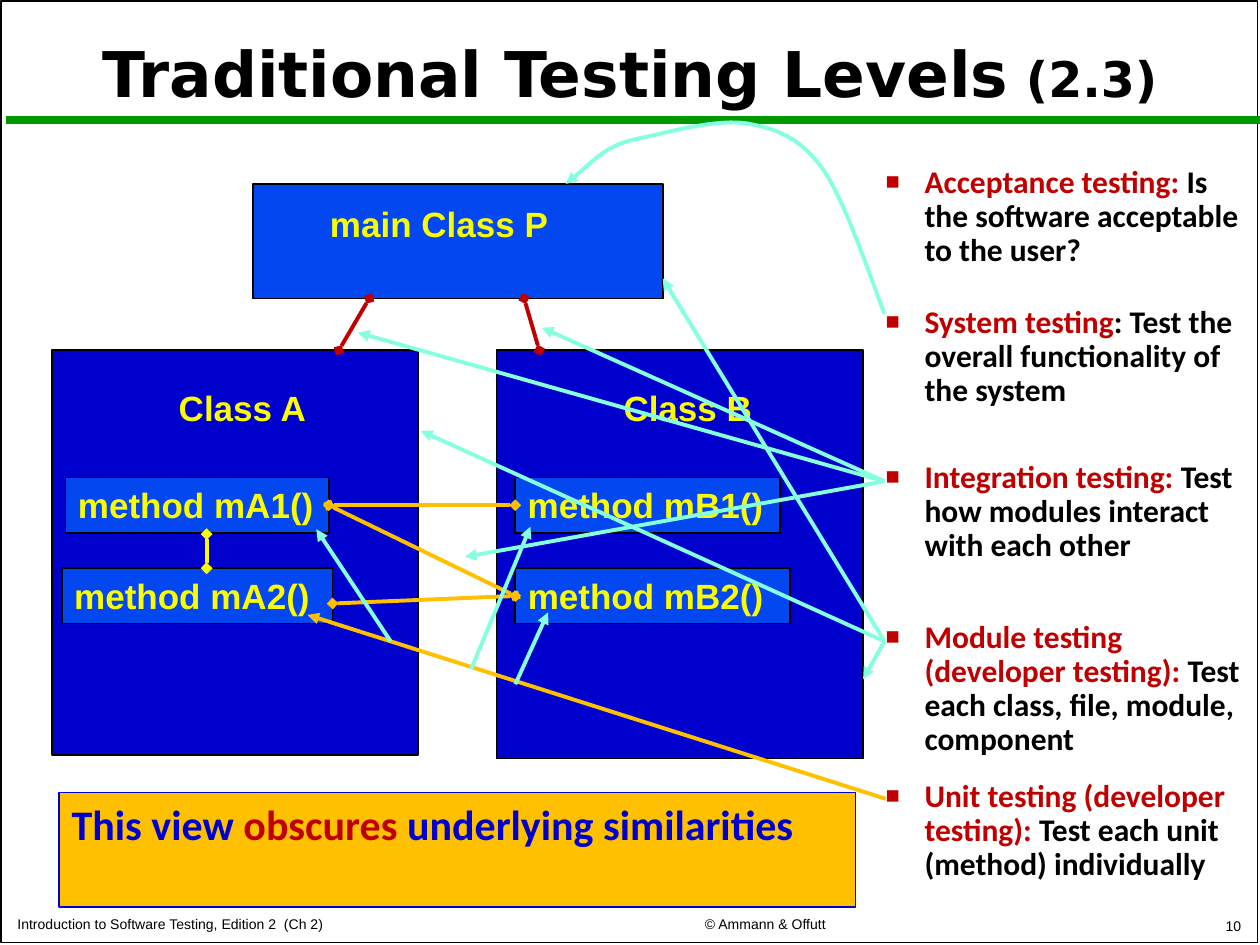
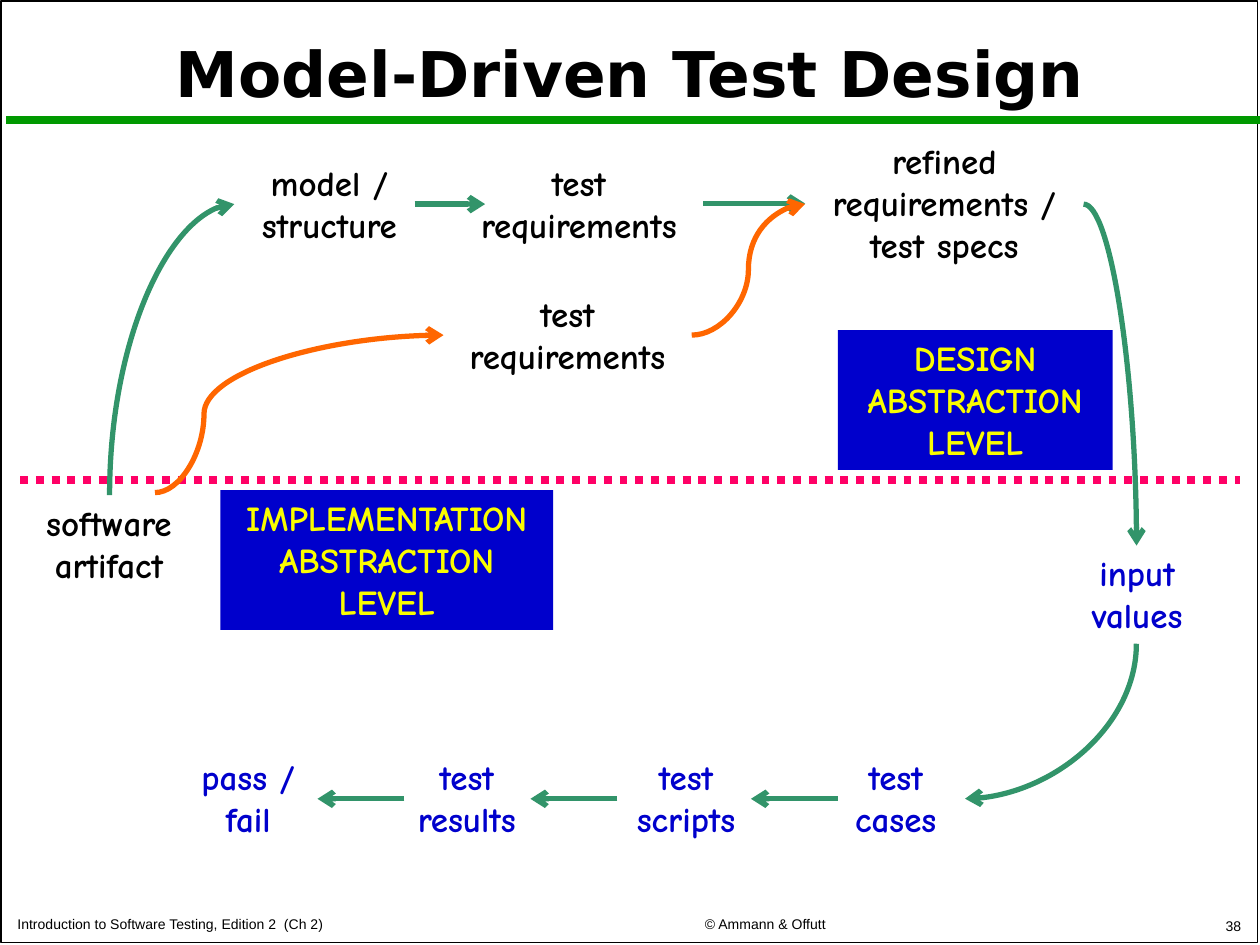
from dataclasses import dataclass

from lxml import etree
from pptx import Presentation
from pptx.dml.color import RGBColor
from pptx.enum.dml import MSO_LINE
from pptx.enum.shapes import MSO_CONNECTOR, MSO_SHAPE
from pptx.enum.text import MSO_ANCHOR, MSO_AUTO_SIZE, PP_ALIGN
from pptx.oxml.ns import qn
from pptx.util import Inches, Pt

RECT = MSO_SHAPE.RECTANGLE
STRAIGHT, CURVE = MSO_CONNECTOR.STRAIGHT, MSO_CONNECTOR.CURVE
LEFT, CENTER, RIGHT = PP_ALIGN.LEFT, PP_ALIGN.CENTER, PP_ALIGN.RIGHT
TOP, MIDDLE, BOTTOM = MSO_ANCHOR.TOP, MSO_ANCHOR.MIDDLE, MSO_ANCHOR.BOTTOM
NO_AUTOFIT = MSO_AUTO_SIZE.NONE
SYS_DOT = MSO_LINE.ROUND_DOT
SIDE_LEFT, SIDE_RIGHT = 1, 3


@dataclass(frozen=True)
class Theme:
    black: str = "000000"
    rule: str = "009900"
    navy: str = "0000CC"
    blue: str = "0347F1"
    yellow: str = "FAFD00"
    red: str = "C00000"
    amber: str = "FFC000"
    aqua: str = "85FFE0"
    green: str = "32946A"
    orange: str = "FF6600"
    pink: str = "FF0066"
    title_font: str = "DejaVu Sans"
    box_font: str = "Arial"
    body_font: str = "Calibri"
    flow_font: str = "Comic Neue"
    title_size: int = 36
    section_size: int = 28
    note_size: int = 24
    label_size: int = 20
    body_size: int = 18
    footer_size: int = 8


T = Theme()


def rgb(color):
    return RGBColor.from_string(color)


class Deck:
    """Holds the presentation, its theme and the current slide."""

    def __init__(self):
        self.prs = Presentation()
        self.prs.slide_width, self.prs.slide_height = Inches(10), Inches(7.5)
        self.s = None

    def slide(self, title, number, section=""):
        self.s = self.prs.slides.add_slide(self.prs.slide_layouts[5])
        # Frame and rule
        self.box((0.01, 0.01, 9.97, 7.47), line=T.black)
        self.line((0.05, 0.95), (10.02, 0.95), T.rule, 4.5)
        # Title
        sp = self.s.shapes.title
        sp.left, sp.top, sp.width, sp.height = map(Inches, (0.05, 0.11, 9.9, 1))
        runs = [(title, T.black, T.title_size)]
        if section:
            runs.append((section, T.black, T.section_size))
        self.set_text(sp, runs, T.title_font, align=CENTER, anchor=MIDDLE, spacing=0.9)
        # Footer
        for at, text, align in (
            ((0.04, 7.18, 4.2, 0.27), "Introduction to Software Testing, Edition 2  (Ch 2)", LEFT),
            ((4.49, 7.17, 3.17, 0.28), "© Ammann & Offutt", CENTER),
            ((7.87, 7.17, 2.08, 0.29), str(number), RIGHT),
        ):
            self.text(at, [(text, T.black, T.footer_size)], T.box_font,
                      align=align, anchor=BOTTOM, bold=False)

    def set_text(self, sp, runs, font, align=LEFT, anchor=TOP, bold=True, spacing=None):
        """Fill a shape with (text, colour, size) runs."""
        tf = sp.text_frame
        tf.auto_size, tf.word_wrap = NO_AUTOFIT, True
        tf.vertical_anchor = anchor
        tf.text = runs[0][0]
        for text, _, _ in runs[1:]:
            tf.paragraphs[0].add_run().text = text
        for p in tf.paragraphs:
            p.alignment = align
            if spacing:
                p.line_spacing = spacing
            for r, (_, color, size) in zip(p.runs, runs):
                r.font.name, r.font.size, r.font.bold = font, Pt(size), bold
                r.font.color.rgb = rgb(color)

    def text(self, at, runs, font, **style):
        sp = self.s.shapes.add_textbox(*map(Inches, at))
        self.set_text(sp, runs, font, **style)
        return sp

    def box(self, at, fill=None, line=None):
        sp = self.s.shapes.add_shape(RECT, *map(Inches, at))
        sp.shadow.inherit = False
        if fill:
            sp.fill.solid()
            sp.fill.fore_color.rgb = rgb(fill)
        else:
            sp.fill.background()
        if line:
            sp.line.color.rgb = rgb(line)
            sp.line.width = Pt(1)
        else:
            sp.line.fill.background()
        return sp

    def bullet(self, top, height, term, meaning):
        """A square-bulleted definition in the right-hand column."""
        sp = self.text((6.93, top, 3.03, height),
                       [(term, T.red, T.body_size), (meaning, T.black, T.body_size)],
                       T.body_font, spacing=0.9)
        pPr = sp.text_frame.paragraphs[0]._p.get_or_add_pPr()
        pPr.set("marL", str(Inches(0.31)))
        pPr.set("indent", str(Inches(-0.31)))
        color = etree.SubElement(pPr, qn("a:buClr"))
        etree.SubElement(color, qn("a:srgbClr"), val=T.red)
        etree.SubElement(pPr, qn("a:buSzPct"), val="75000")
        etree.SubElement(pPr, qn("a:buFont"), typeface=T.box_font)
        etree.SubElement(pPr, qn("a:buChar"), char="■")

    def stroke(self, sp, color, width, head=None, tail=None, dash=None):
        sp.line.color.rgb = rgb(color)
        sp.line.width = Pt(width)
        if dash:
            sp.line.dash_style = dash
        spPr = sp.element.spPr
        ln = spPr.find(qn("a:ln"))
        for tag, kind in (("a:headEnd", head), ("a:tailEnd", tail)):
            if kind:
                etree.SubElement(ln, qn(tag), type=kind)
        if spPr.find(qn("a:effectLst")) is None:
            etree.SubElement(spPr, qn("a:effectLst"))

    def line(self, start, end, color, width=2.25, kind=STRAIGHT, **ends):
        c = self.s.shapes.add_connector(kind, *map(Inches, (*start, *end)))
        self.stroke(c, color, width, **ends)
        return c

    def join(self, a, b, color, width=2.25, **ends):
        """A straight line from the right side of a to the left side of b."""
        c = self.line((0, 0), (1, 1), color, width, **ends)
        c.begin_connect(a, SIDE_RIGHT)
        c.end_connect(b, SIDE_LEFT)

    def quarter(self, start, end, **ends):
        """A curve leaving start horizontally and reaching end vertically."""
        c = self.line(start, end, T.green, 3, CURVE, **ends)
        c.element.spPr.find(qn("a:prstGeom")).set("prst", "curvedConnector2")

    def s_curve(self, start, end, bend):
        """A curve whose middle lies at the given share of its width."""
        c = self.line(start, end, T.orange, 3, CURVE, tail="arrow")
        guides = c.element.spPr.find(qn("a:prstGeom")).find(qn("a:avLst"))
        etree.SubElement(guides, qn("a:gd"), name="adj1", fmla=f"val {round(bend * 100000)}")

    def bezier(self, start, segments, color, steps=12):
        """An open outline through cubic segments, ending in an arrowhead."""
        points, p0 = [], start
        for x1, y1, x2, y2, x3, y3 in segments:
            for i in range(1, steps + 1):
                t = i / steps
                weights = ((1 - t) ** 3, 3 * t * (1 - t) ** 2, 3 * t * t * (1 - t), t ** 3)
                xs, ys = (p0[0], x1, x2, x3), (p0[1], y1, y2, y3)
                points.append(tuple(Inches(sum(w * v for w, v in zip(weights, vs)))
                                    for vs in (xs, ys)))
            p0 = (x3, y3)
        builder = self.s.shapes.build_freeform(*map(Inches, start))
        builder.add_line_segments(points, close=False)
        sp = builder.convert_to_shape()
        sp.shadow.inherit = False
        sp.fill.background()
        self.stroke(sp, color, 2.25, tail="triangle")

    def label(self, at, text):
        return self.text(at, [(text, T.yellow, T.label_size)], T.box_font)

    def method(self, at, name):
        sp = self.box(at, T.blue, T.black)
        self.set_text(sp, [(name, T.yellow, T.label_size)], T.box_font)
        return sp

    def step(self, at, text, color=T.black):
        return self.text(at, [(text, color, T.label_size)], T.flow_font, align=CENTER)

    def level(self, at, text):
        sp = self.box(at, T.navy)
        self.set_text(sp, [(text, T.yellow, T.label_size)], T.flow_font, align=CENTER)


def testing_levels(d):
    d.slide("Traditional Testing Levels", 10, " (2.3)")

    # Classes and their methods
    methods = {}
    for letter, x, height, boxes in (
        ("A", 0.41, 3.21, ((0.52, 2.09), (0.49, 2.15))),
        ("B", 3.94, 3.24, ((4.09, 2.1), (4.09, 2.18))),
    ):
        d.box((x, 2.78, 2.91, height), T.navy, T.black)
        d.label((x + 0.91, 3.02, 1.25, 0.44), f"Class {letter}")
        for i, (left, width) in enumerate(boxes):
            name = f"{letter}{i + 1}"
            methods[name] = d.method((left, 3.79 + 0.72 * i, width, 0.44), f"method m{name}()")
    d.box((2.01, 1.46, 3.25, 0.91), T.blue, T.black)
    d.label((2.52, 1.56, 1.99, 0.44), "main Class P")

    # Calls between classes and methods
    diamonds = {"head": "diamond", "tail": "diamond"}
    for start, end, color in (
        ((2.69, 2.78), (2.93, 2.37), T.red),
        ((4.28, 2.78), (4.16, 2.37), T.red),
        ((1.64, 4.24), (1.64, 4.51), T.yellow),
    ):
        d.line(start, end, color, **diamonds)
    d.join(methods["A1"], methods["B2"], T.amber, **diamonds)
    d.join(methods["A1"], methods["B1"], T.amber, **diamonds)
    c = d.line((2.64, 4.79), (4.09, 4.73), T.amber, **diamonds)
    c.end_connect(methods["B2"], SIDE_LEFT)

    # Definitions of the levels
    for definition in (
        (1.27, 1.11, "Acceptance testing: ", "Is the software acceptable to the user?"),
        (2.38, 1.16, "System testing", ": Test the overall functionality of the system"),
        (3.61, 1.21, "Integration testing: ", "Test how modules interact with each other"),
        (4.88, 0.91, "Module testing (developer testing): ",
         "Test each class, file, module, component"),
        (6.14, 0.87, "Unit testing (developer testing): ",
         "Test each unit (method) individually"),
    ):
        d.bullet(*definition)

    # Pointers from each level to what it tests
    d.bezier((7.02, 2.49), (
        (6.94, 2.29, 6.71, 1.59, 6.53, 1.34),
        (6.35, 1.09, 6.16, 1.02, 5.93, 0.98),
        (5.69, 0.94, 5.3, 1.05, 5.11, 1.09),
        (4.92, 1.13, 4.89, 1.15, 4.79, 1.21),
        (4.69, 1.28, 4.56, 1.41, 4.49, 1.46),
    ), T.aqua)
    integration, module = (7.02, 3.82), (7.02, 5.09)
    d.line((7.03, 6.34), (2.44, 4.88), T.amber, tail="triangle")
    for start, end in (
        (integration, (4.3, 2.6)), (integration, (2.84, 2.64)), (integration, (3.69, 4.42)),
        (module, (3.34, 3.42)), (module, (6.85, 5.39)), (module, (5.26, 2.21)),
        ((3.1, 5.09), (2.51, 4.2)), ((3.74, 5.31), (4.21, 4.18)), ((4.09, 5.43), (4.35, 4.86)),
    ):
        d.line(start, end, T.aqua, tail="triangle")

    # Conclusion
    sp = d.box((0.47, 6.29, 6.32, 0.91), T.amber, T.navy)
    d.set_text(sp, [("This view ", T.navy, T.note_size), ("obscures", T.red, T.note_size),
                    (" underlying similarities", T.navy, T.note_size)], T.body_font)


def model_driven_design(d):
    d.slide("Model-Driven Test Design", 38)

    # Steps at the design level
    d.step((0.11, 3.93, 1.51, 0.77), "software artifact")
    d.step((1.86, 1.23, 1.51, 0.77), "model / structure")
    requirements = d.step((3.61, 1.23, 1.97, 0.77), "test requirements")
    d.step((3.52, 2.27, 1.97, 0.77), "test requirements")
    refined = d.step((6.39, 1.06, 2.21, 1.11), "refined requirements / test specs")

    # Steps at the implementation level
    d.step((8.27, 4.33, 1.51, 0.77), "input values", T.navy)
    for x, width, text in ((6.56, 1.1, "test cases"), (4.82, 1.25, "test scripts"),
                           (3.08, 1.25, "test results"), (1.35, 1.24, "pass / fail")):
        d.step((x, 5.95, width, 0.77), text, T.navy)

    # Main flow
    d.quarter((1.86, 1.62), (0.87, 3.93), head="arrow")
    d.quarter((7.66, 6.34), (9.02, 5.11), head="arrow")
    d.line((3.29, 1.62), (3.85, 1.62), T.green, 3, tail="arrow")
    d.join(requirements, refined, T.green, 3, tail="arrow")
    for x in (3.21, 4.9, 6.65):
        d.line((x, 6.34), (x - 0.69, 6.34), T.green, 3, tail="arrow")

    # Abstraction levels and the border between them
    d.level((1.75, 3.89, 2.64, 1.11), "IMPLEMENTATION\nABSTRACTION\nLEVEL")
    d.level((6.65, 2.62, 2.18, 1.11), "DESIGN\nABSTRACTION\nLEVEL")
    d.quarter((8.6, 1.62), (9.02, 4.33), tail="arrow")
    d.line((0.16, 3.81), (9.84, 3.81), T.pink, 4.5, dash=SYS_DOT)

    # Direct route past the model
    d.s_curve((1.23, 3.91), (3.52, 2.66), 0.17)
    d.s_curve((5.49, 2.66), (6.39, 1.62), 0.5)


def main():
    d = Deck()
    testing_levels(d)
    model_driven_design(d)
    d.prs.save("out.pptx")


if __name__ == "__main__":
    main()
